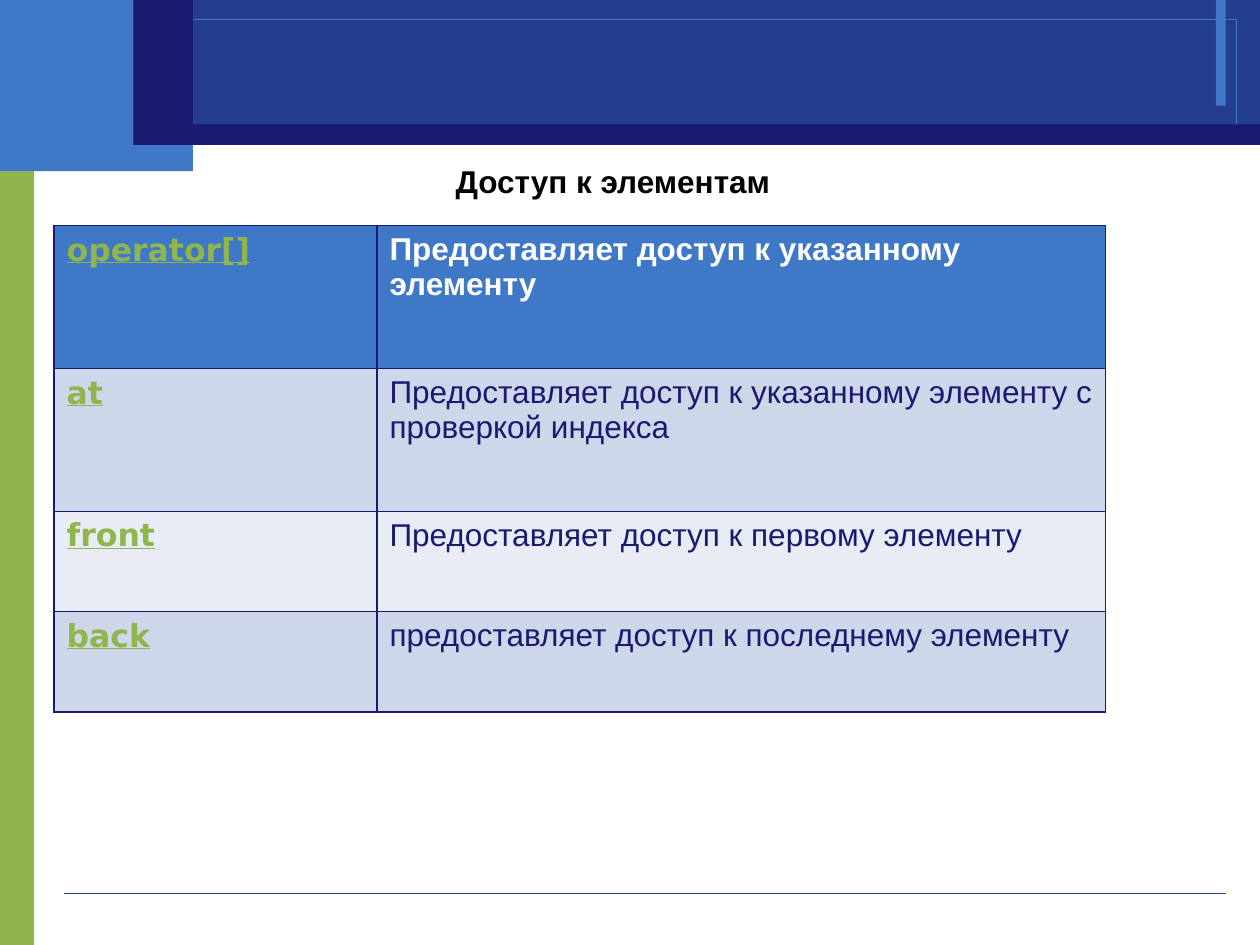
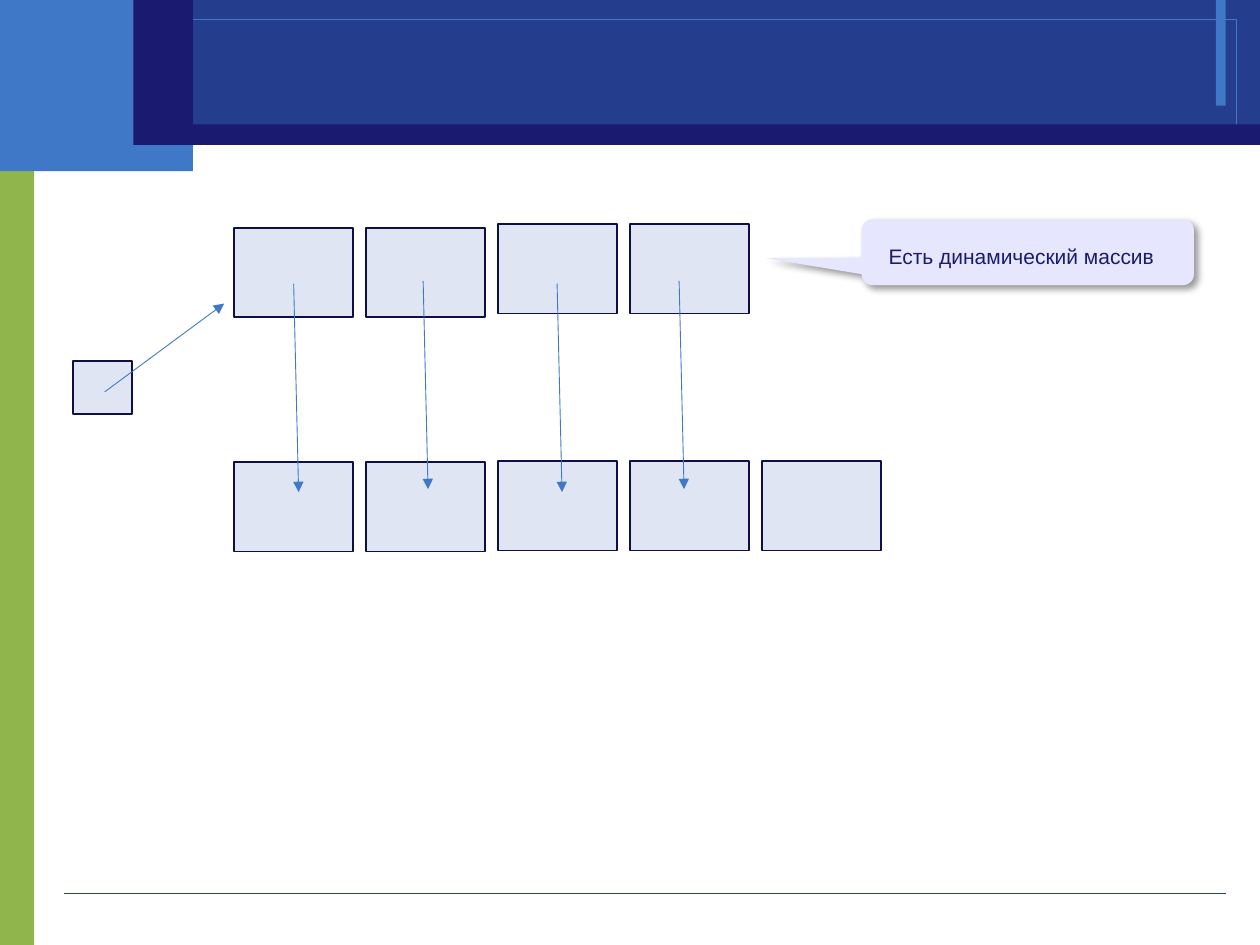
from dataclasses import dataclass

from lxml import etree
from pptx import Presentation
from pptx.dml.color import RGBColor
from pptx.enum.shapes import MSO_CONNECTOR, MSO_SHAPE
from pptx.enum.text import MSO_ANCHOR, MSO_AUTO_SIZE, PP_ALIGN
from pptx.oxml import parse_xml
from pptx.oxml.ns import nsdecls, qn
from pptx.util import Cm, Pt

RECTANGLE = MSO_SHAPE.RECTANGLE
CALLOUT = MSO_SHAPE.ROUNDED_RECTANGULAR_CALLOUT
STRAIGHT = MSO_CONNECTOR.STRAIGHT
LEFT, CENTER = PP_ALIGN.LEFT, PP_ALIGN.CENTER
MIDDLE = MSO_ANCHOR.MIDDLE
NO_AUTOFIT = MSO_AUTO_SIZE.NONE
TITLE_ONLY, BLANK = 5, 6


@dataclass(frozen=True)
class Theme:
    green: str = "90B54D"
    blue: str = "3E78C6"
    royal: str = "243D8C"
    navy: str = "1A1A70"
    black: str = "000000"
    white: str = "FFFFFF"
    row_dark: str = "CED6EA"
    row_light: str = "E8ECF5"
    cell_fill: str = "DFE5F2"
    cell_edge: str = "0F0F47"
    note_fill: str = "E6E6FF"
    text_font: str = "Arial"
    code_font: str = "DejaVu Sans"
    body_size: int = 18
    note_size: int = 12
    hairline: float = 0.1
    arrow_width: float = 0.5
    edge_width: float = 1


THEME = Theme()

# All places and sizes are in centimetres: left, top, width, height.
SLIDE_SIZE = (25.4, 19.05)
BANDS = [
    ((0, 2.71, 0.69, 16.34), THEME.green, None),
    ((0, 0, 3.89, 3.45), THEME.blue, None),
    ((3.89, 0, 21.51, 2.92), THEME.royal, None),
    ((24.51, 0, 0.2, 2.13), THEME.blue, None),
    ((0.51, 0.38, 24.41, 2.16), None, THEME.blue),
    ((3.3, 2.51, 22.1, 0.41), THEME.navy, None),
    ((2.69, 0, 1.2, 2.92), THEME.navy, None),
]
FOOTER_RULE = ((1.3, 18.01), (24.71, 18.01))

TITLE = "Доступ к элементам"
TITLE_PLACE = (8.89, 3.13, 6.93, 1.02)
ACCESS_METHODS = [
    ("operator[]", "Предоставляет доступ к указанному элементу"),
    ("at", "Предоставляет доступ к указанному элементу с проверкой индекса"),
    ("front", "Предоставляет доступ к первому элементу"),
    ("back", "предоставляет доступ к последнему элементу"),
]
TABLE_CORNER = (1.09, 4.55)
COLUMN_WIDTHS = (6.51, 14.69)
ROW_HEIGHTS = (2.88, 2.88, 2.02, 2.02)

ARRAY_LEFT, ARRAY_STEP = 4.72, 2.66
ITEM_SIZE = (2.4, 1.8)
OLD_ARRAY_TOPS = (4.59, 4.59, 4.52, 4.52)
NEW_ARRAY_TOPS = (9.32, 9.32, 9.3, 9.3, 9.3)
COPY_STARTS = [(5.92, 5.72), (8.53, 5.66), (11.23, 5.72), (13.69, 5.66)]
COPY_SHIFT = (0.1, 4.2)
POINTER_PLACE = (1.47, 7.28, 1.2, 1.07)
POINTER_ARROW = ((2.11, 7.9), (4.52, 6.12))
NOTE = "Есть динамический массив"
NOTE_PLACE = (17.37, 4.42, 6.7, 1.33)
NOTE_ADJUSTMENTS = (-0.787, 0.092, 0.167)


def rgb(color):
    return RGBColor.from_string(color)


def write(frame, text, *, color, size, font=THEME.text_font, bold=False,
          underline=False, align=LEFT):
    para = frame.paragraphs[0]
    para.alignment = align
    span = para.add_run()
    span.text = text
    span.font.name = font
    span.font.size = Pt(size)
    span.font.bold = bold
    span.font.underline = underline
    span.font.color.rgb = rgb(color)


def add_box(page, place, fill=None, line=None, width=THEME.edge_width,
            kind=RECTANGLE):
    box = page.shapes.add_shape(kind, *map(Cm, place))
    box.shadow.inherit = False
    if fill:
        box.fill.solid()
        box.fill.fore_color.rgb = rgb(fill)
    else:
        box.fill.background()
    if line:
        box.line.color.rgb = rgb(line)
        box.line.width = Pt(width)
    else:
        box.line.fill.background()
    return box


def add_line(page, start, end, color, width, arrow=False):
    line = page.shapes.add_connector(STRAIGHT, *map(Cm, (*start, *end)))
    line.line.color.rgb = rgb(color)
    line.line.width = Pt(width)
    properties = line._element.spPr
    if arrow:
        etree.SubElement(properties.find(qn("a:ln")), qn("a:tailEnd"),
                         type="triangle")
    etree.SubElement(properties, qn("a:effectLst"))


def add_page(deck, layout):
    """Add a slide with the bands and the footer rule that all slides share."""
    page = deck.slides.add_slide(deck.slide_layouts[layout])
    for place, fill, line in BANDS:
        add_box(page, place, fill, line, THEME.hairline)
    add_line(page, *FOOTER_RULE, THEME.royal, THEME.hairline)
    return page


def set_title(page, text):
    title = page.shapes.title
    title.left, title.top, title.width, title.height = map(Cm, TITLE_PLACE)
    frame = title.text_frame
    frame.word_wrap = False
    frame.auto_size = NO_AUTOFIT
    frame.vertical_anchor = MIDDLE
    write(frame, text, color=THEME.black, size=THEME.body_size, bold=True,
          align=CENTER)


def format_cell(cell, fill):
    properties = cell._tc.get_or_add_tcPr()
    for side in ("lnL", "lnR", "lnT", "lnB"):
        properties.append(parse_xml(
            f'<a:{side} {nsdecls("a")} w="{Pt(THEME.edge_width)}"><a:solidFill>'
            f'<a:srgbClr val="{THEME.navy}"/></a:solidFill></a:{side}>'))
    cell.fill.solid()
    cell.fill.fore_color.rgb = rgb(fill)


def add_access_table(page):
    size = (sum(COLUMN_WIDTHS), sum(ROW_HEIGHTS))
    table = page.shapes.add_table(len(ACCESS_METHODS), len(COLUMN_WIDTHS),
                                  *map(Cm, TABLE_CORNER + size)).table
    table.first_row = table.horz_banding = False
    for column, width in zip(table.columns, COLUMN_WIDTHS):
        column.width = Cm(width)
    for index, (method, meaning) in enumerate(ACCESS_METHODS):
        table.rows[index].height = Cm(ROW_HEIGHTS[index])
        is_header = index == 0
        stripe = THEME.row_dark if index % 2 else THEME.row_light
        name_cell, meaning_cell = table.rows[index].cells
        for cell in (name_cell, meaning_cell):
            format_cell(cell, THEME.blue if is_header else stripe)
        write(name_cell.text_frame, method, color=THEME.green,
              size=THEME.body_size, font=THEME.code_font, bold=True,
              underline=True)
        write(meaning_cell.text_frame, meaning, size=THEME.body_size,
              color=THEME.white if is_header else THEME.navy, bold=is_header)


def add_array(page, tops):
    for index, top in enumerate(tops):
        left = ARRAY_LEFT + index * ARRAY_STEP
        add_box(page, (left, top, *ITEM_SIZE), THEME.cell_fill, THEME.cell_edge)


def add_arrow(page, start, end):
    add_line(page, start, end, THEME.blue, THEME.arrow_width, arrow=True)


def add_note(page):
    note = add_box(page, NOTE_PLACE, THEME.note_fill, kind=CALLOUT)
    for index, value in enumerate(NOTE_ADJUSTMENTS):
        note.adjustments[index] = value
    effects = note._element.spPr.find(qn("a:effectLst"))
    effects.append(parse_xml(
        f'<a:outerShdw {nsdecls("a")} blurRad="{Pt(4)}" dist="{Pt(3)}" '
        f'dir="{45 * 60000}" algn="tl" rotWithShape="0">'
        f'<a:srgbClr val="{THEME.black}"><a:alpha val="40000"/></a:srgbClr>'
        f'</a:outerShdw>'))
    frame = note.text_frame
    frame.word_wrap = True
    frame.vertical_anchor = MIDDLE
    frame.margin_left, frame.margin_top = Cm(0.48), Cm(0.27)
    write(frame, NOTE, color=THEME.navy, size=THEME.note_size)


def build_access_page(deck):
    page = add_page(deck, TITLE_ONLY)
    set_title(page, TITLE)
    add_access_table(page)


def build_array_page(deck):
    page = add_page(deck, BLANK)
    add_array(page, OLD_ARRAY_TOPS)
    add_array(page, NEW_ARRAY_TOPS)
    for left, top in COPY_STARTS:
        add_arrow(page, (left, top), (left + COPY_SHIFT[0], top + COPY_SHIFT[1]))
    add_box(page, POINTER_PLACE, THEME.cell_fill, THEME.cell_edge)
    add_arrow(page, *POINTER_ARROW)
    add_note(page)


def main():
    deck = Presentation()
    deck.slide_width, deck.slide_height = map(Cm, SLIDE_SIZE)
    build_access_page(deck)
    build_array_page(deck)
    deck.save("out.pptx")


if __name__ == "__main__":
    main()
